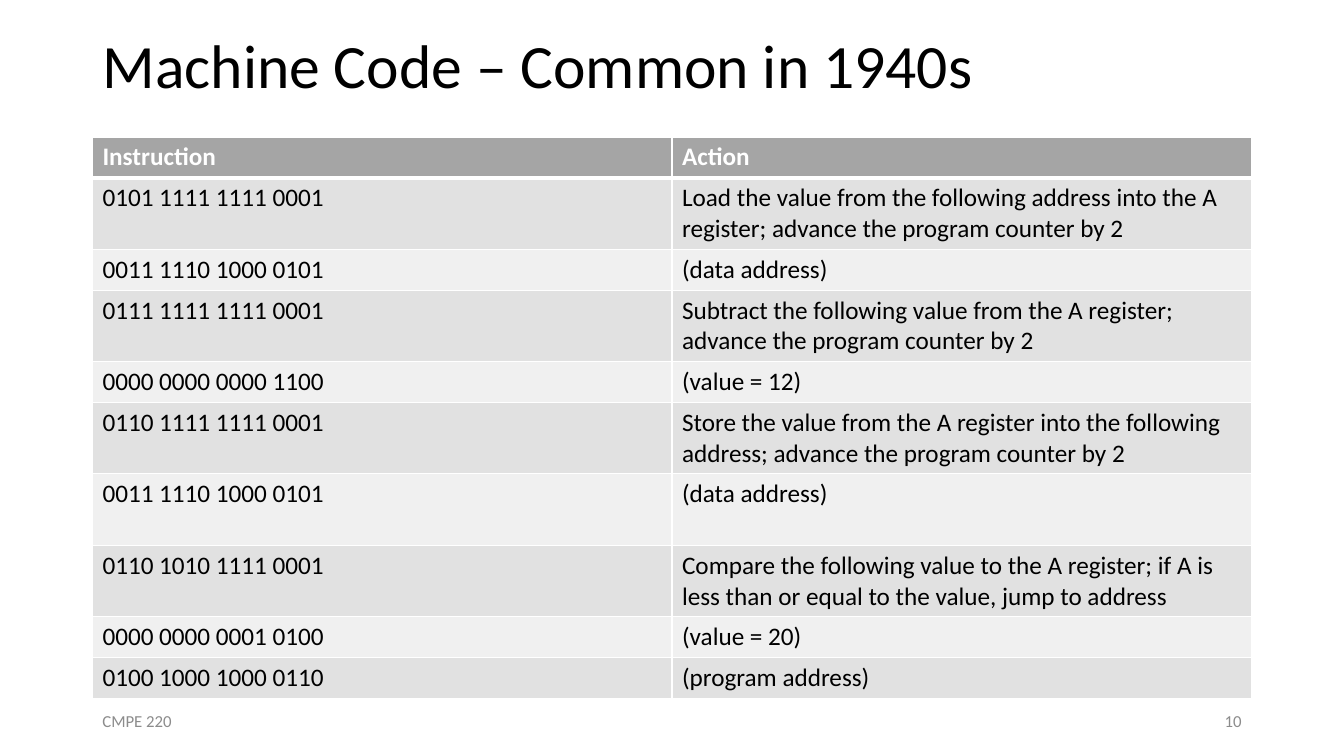
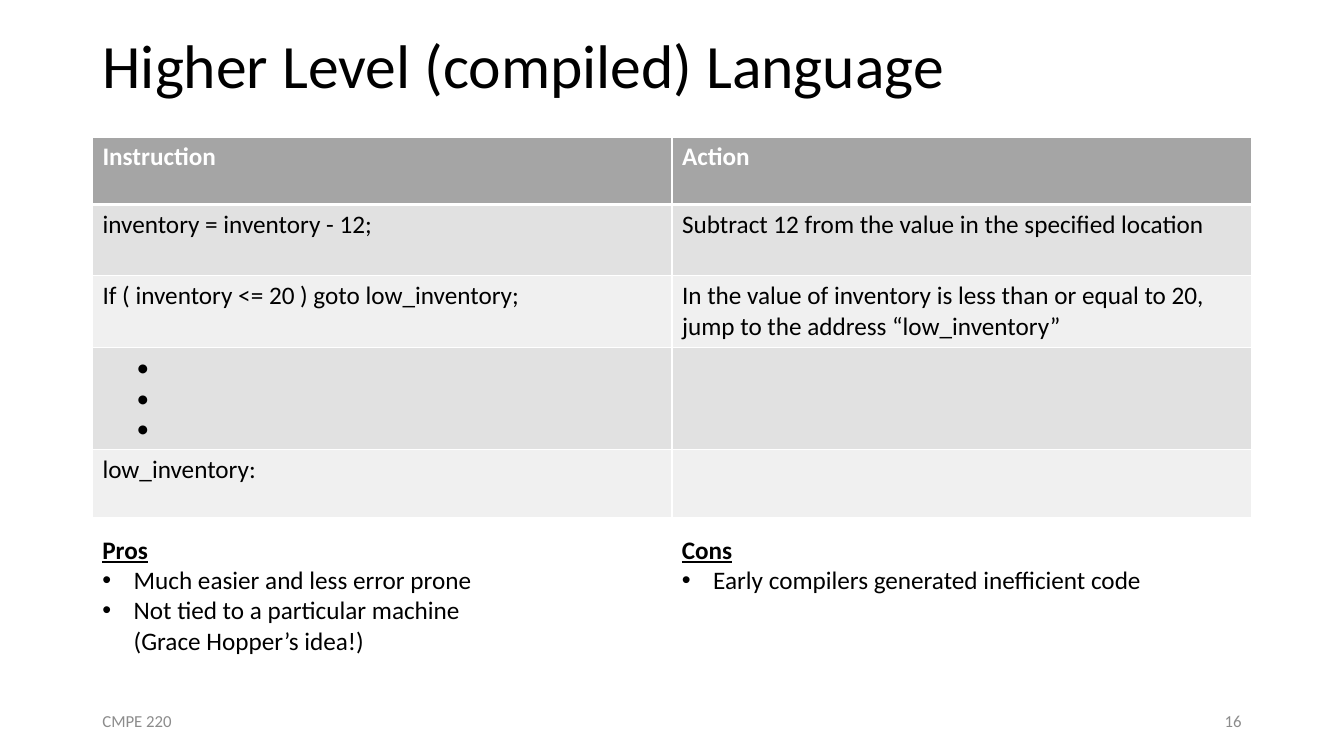
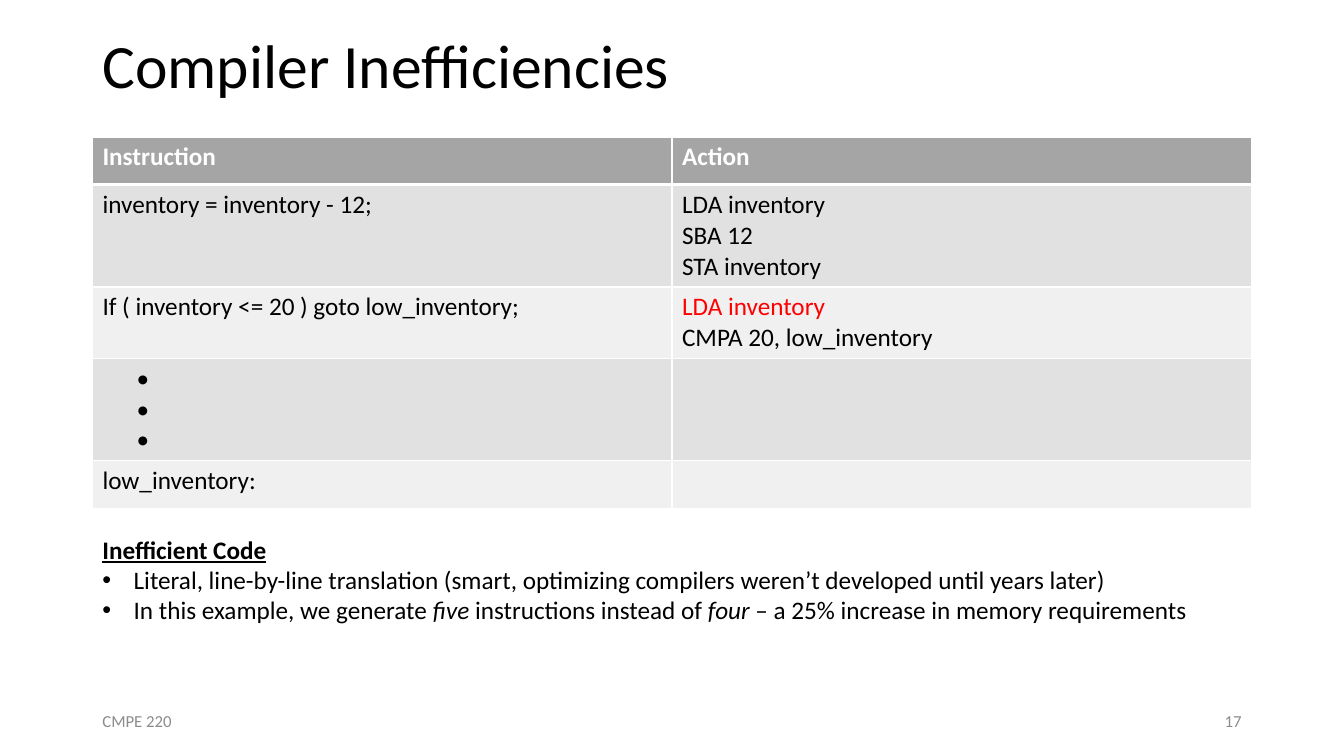
from pptx import Presentation
from pptx.dml.color import RGBColor
from pptx.enum.text import MSO_ANCHOR, MSO_AUTO_SIZE, PP_ALIGN
from pptx.oxml.ns import qn
from pptx.util import Cm, Pt
from lxml.etree import SubElement

COLOURS = {
    "text": "000000",
    "header_text": "FFFFFF",
    "footer": "8C8C8C",
    "header": "A5A5A5",
    "dark_band": "E1E1E1",
    "light_band": "F0F0F0",
    "border": "FFFFFF",
    "warning": "FF0000",
}
BODY = {"name": "Calibri", "size": Pt(18), "bold": False}
HEADER = {**BODY, "bold": True}
HEADING = {**HEADER, "underline": True}
TITLE = {**BODY, "size": Pt(44)}
FOOTER = {**BODY, "size": Pt(12)}
ITALIC = {"italic": True}

LEFT, WIDTH = 2.33, 29.21
COLUMN = WIDTH / 2
TABLE_TOP, NOTES_TOP = 3.45, 13.34
FOOTER_TOP, FOOTER_WIDTH, FOOTER_HEIGHT = 17.65, 7.62, 1.02
ONE_LINE, TWO_LINES, THREE_LINES = 1.03, 1.8, 2.58
HEADINGS = ("Instruction", "Action")
DOTS = ["•"] * 3

MACHINE_ROWS = [
    (ONE_LINE, *HEADINGS),
    (TWO_LINES, "0101 1111 1111 0001",
     "Load the value from the following address into the A register; advance the program counter by 2"),
    (ONE_LINE, "0011 1110 1000 0101", "(data address)"),
    (TWO_LINES, "0111 1111 1111 0001",
     "Subtract the following value from the A register; advance the program counter by 2"),
    (ONE_LINE, "0000 0000 0000 1100", "(value = 12)"),
    (TWO_LINES, "0110 1111 1111 0001",
     "Store the value from the A register into the following address; advance the program counter by 2"),
    (TWO_LINES, "0011 1110 1000 0101", "(data address)"),
    (TWO_LINES, "0110 1010 1111 0001",
     "Compare the following value to the A register; if A is less than or equal to the value, jump to address"),
    (ONE_LINE, "0000 0000 0001 0100", "(value = 20)"),
    (ONE_LINE, "0100 1000 1000 0110", "(program address)"),
]
SUBTRACT = "inventory = inventory - 12;"
COMPARE = "If ( inventory <= 20 ) goto low_inventory;"
LABEL = "low_inventory:"
LANGUAGE_ROWS = [
    (1.7, *HEADINGS),
    (TWO_LINES, SUBTRACT, "Subtract 12 from the value in the specified location"),
    (TWO_LINES, COMPARE,
     "In the value of inventory is less than or equal to 20, jump to the address “low_inventory”"),
    (THREE_LINES, DOTS, ""),
    (1.7, LABEL, ""),
]
COMPILER_ROWS = [
    (1.2, *HEADINGS),
    (THREE_LINES, SUBTRACT, ["LDA inventory", "SBA 12", "STA inventory"]),
    (TWO_LINES, COMPARE,
     [[("LDA inventory", {"colour": "warning"})], "CMPA 20, low_inventory"]),
    (THREE_LINES, DOTS, ""),
    (1.2, LABEL, ""),
]


def add_span(para, text, style, colour="text"):
    span = para.add_run()
    span.text = text
    for key, value in style.items():
        setattr(span.font, key, value)
    span.font.color.rgb = RGBColor.from_string(COLOURS[colour])


def write_para(para, content, style, colour="text"):
    spans = [(content, {})] if isinstance(content, str) else content
    for text, changes in spans:
        span_style = {**style, **changes}
        span_colour = span_style.pop("colour", colour)
        for index, line in enumerate(text.split("\n")):
            if index:
                para.add_line_break()
            if line:
                add_span(para, line, span_style, span_colour)


def next_para(frame, index):
    return frame.add_paragraph() if index else frame.paragraphs[0]


def set_indent(para, margin, first_line=0):
    properties = para._p.get_or_add_pPr()
    properties.set("marL", str(Cm(margin)))
    properties.set("indent", str(Cm(first_line)))
    return properties


def add_bullet(para):
    properties = set_indent(para, 0.79, -0.79)
    SubElement(properties, qn("a:buFont")).set("typeface", "Arial")
    SubElement(properties, qn("a:buChar")).set("char", "•")


def add_box(page, left, top, width, height):
    box = page.shapes.add_textbox(Cm(left), Cm(top), Cm(width), Cm(height))
    box.text_frame.word_wrap = True
    return box.text_frame


def add_footer(page, left, text, align):
    frame = add_box(page, left, FOOTER_TOP, FOOTER_WIDTH, FOOTER_HEIGHT)
    frame.vertical_anchor = MSO_ANCHOR.MIDDLE
    frame.paragraphs[0].alignment = align
    write_para(frame.paragraphs[0], text, FOOTER, "footer")


def add_page(deck, title, number):
    page = deck.slides.add_slide(deck.slide_layouts[5])
    holder = page.shapes.title
    place = {"left": LEFT, "top": 0, "width": WIDTH, "height": 3.43}
    for key, value in place.items():
        setattr(holder, key, Cm(value))
    frame = holder.text_frame
    frame.auto_size = MSO_AUTO_SIZE.NONE
    frame.vertical_anchor = MSO_ANCHOR.MIDDLE
    para = frame.paragraphs[0]
    para.alignment = PP_ALIGN.LEFT
    para.line_spacing = 0.9
    write_para(para, title, TITLE)
    add_footer(page, LEFT, "CMPE 220", PP_ALIGN.LEFT)
    add_footer(page, LEFT + WIDTH - FOOTER_WIDTH, str(number), PP_ALIGN.RIGHT)
    return page


def set_borders(cell, widths):
    properties = cell._tc.get_or_add_tcPr()
    for side, width in widths.items():
        line = SubElement(properties, qn(f"a:ln{side}"), w=str(Pt(width)))
        fill = SubElement(line, qn("a:solidFill"))
        SubElement(fill, qn("a:srgbClr"), val=COLOURS["border"])


def fill_cell(cell, content, row):
    header = row == 0
    band = "header" if header else "dark_band" if row % 2 else "light_band"
    top, bottom = 3 if row == 1 else 1, 3 if header else 1
    set_borders(cell, {"L": 1, "R": 1, "T": top, "B": bottom})
    cell.fill.solid()
    cell.fill.fore_color.rgb = RGBColor.from_string(COLOURS[band])
    style, colour = (HEADER, "header_text") if header else (BODY, "text")
    paras = [content] if isinstance(content, str) else content
    for index, text in enumerate(paras):
        para = next_para(cell.text_frame, index)
        write_para(para, text, style, colour)
        if content is DOTS:
            set_indent(para, 0.86)


def add_code_table(page, rows):
    height = sum(row[0] for row in rows)
    table = page.shapes.add_table(
        len(rows), len(HEADINGS), Cm(LEFT), Cm(TABLE_TOP), Cm(WIDTH), Cm(height)
    ).table
    for column in table.columns:
        column.width = Cm(COLUMN)
    for index, (row_height, *contents) in enumerate(rows):
        table.rows[index].height = Cm(row_height)
        for cell, content in zip(table.rows[index].cells, contents):
            fill_cell(cell, content, index)


def add_notes_box(page, left, width, heading, points):
    frame = add_box(page, left, NOTES_TOP, width, 1.8 + 0.76 * len(points))
    write_para(frame.paragraphs[0], heading, HEADING)
    for point in points:
        para = frame.add_paragraph()
        add_bullet(para)
        write_para(para, point, BODY)


def main():
    deck = Presentation()
    deck.slide_width, deck.slide_height = Cm(33.87), Cm(19.05)

    page = add_page(deck, "Machine Code – Common in 1940s", 10)
    add_code_table(page, MACHINE_ROWS)

    page = add_page(deck, "Higher Level (compiled) Language", 16)
    add_code_table(page, LANGUAGE_ROWS)
    add_notes_box(page, LEFT, 12.4, "Pros", [
        "Much easier and less error prone",
        "Not tied to a particular machine\n(Grace Hopper’s idea!)",
    ])
    add_notes_box(page, LEFT + COLUMN, 12.4, "Cons",
                  ["Early compilers generated inefficient code"])

    page = add_page(deck, "Compiler Inefficiencies", 17)
    add_code_table(page, COMPILER_ROWS)
    add_notes_box(page, LEFT, 28.98, "Inefficient Code", [
        "Literal, line-by-line translation (smart, optimizing compilers weren’t developed until years later)",
        [("In this example, we generate ", {}), ("five", ITALIC),
         (" instructions instead of ", {}), ("four", ITALIC),
         (" – a 25% increase in memory requirements", {})],
    ])
    deck.save("out.pptx")


if __name__ == "__main__":
    main()
